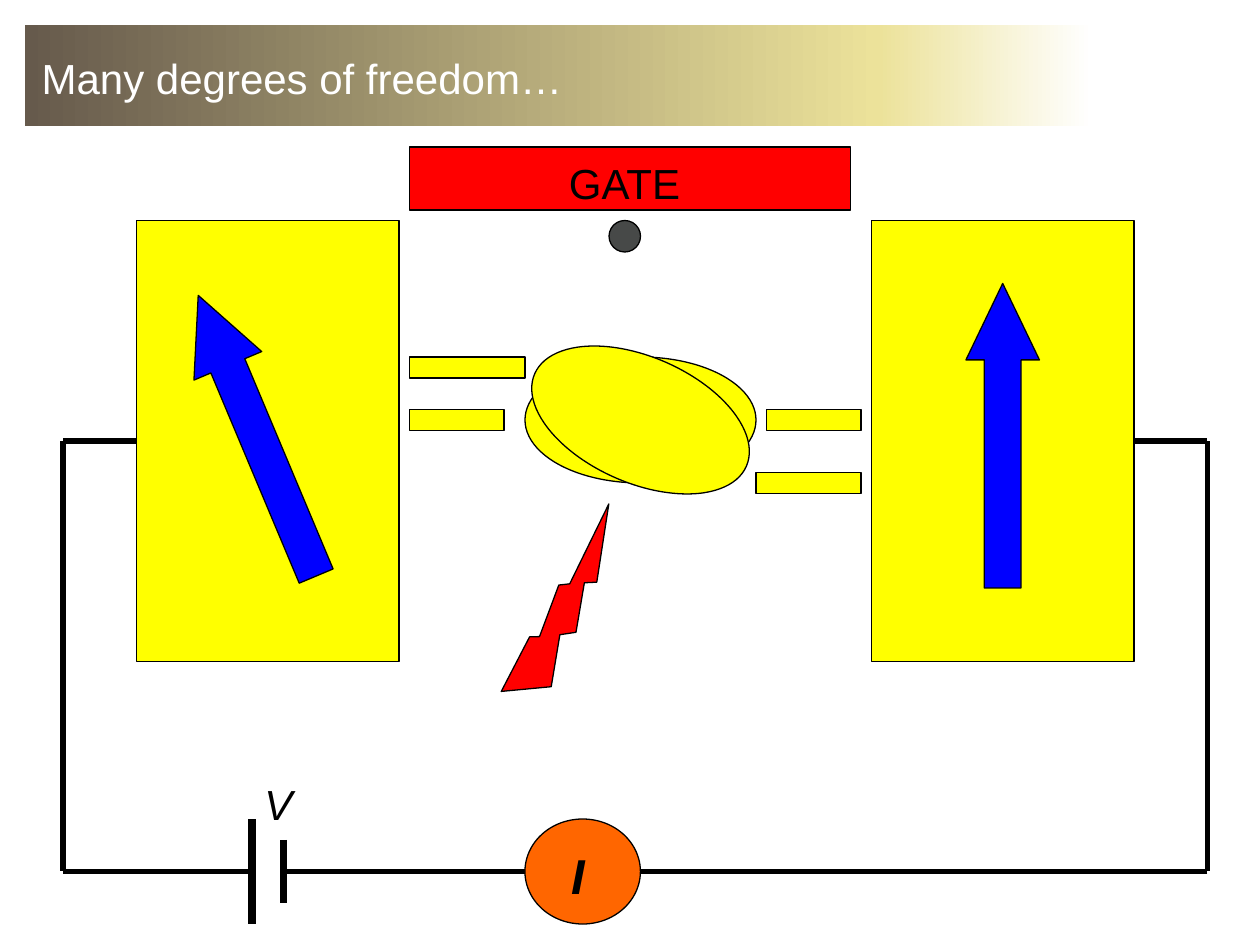
from copy import deepcopy

from lxml.etree import SubElement
from pptx import Presentation
from pptx.dml.color import RGBColor as RGB
from pptx.enum.shapes import MSO_CONNECTOR as LINK, MSO_SHAPE as KIND
from pptx.enum.text import MSO_ANCHOR as ANCHOR, PP_ALIGN as ALIGN
from pptx.oxml.ns import qn
from pptx.util import Inches, Pt

BLACK = RGB(0x00, 0x00, 0x00)
WHITE = RGB(0xFF, 0xFF, 0xFF)
YELLOW = RGB(0xFF, 0xFF, 0x00)
RED = RGB(0xFF, 0x00, 0x00)
BLUE = RGB(0x00, 0x00, 0xFF)
ORANGE = RGB(0xFF, 0x66, 0x00)
GREY = RGB(0x47, 0x49, 0x48)
BROWN = RGB(0x66, 0x5A, 0x4C)
SAND = RGB(0xEC, 0xE2, 0x9A)

deck = Presentation()
deck.slide_width, deck.slide_height = Inches(10), Inches(7.5)
slide = deck.slides.add_slide(deck.slide_layouts[5])
shapes = slide.shapes
UNIT = deck.slide_width / 120  # the slide is 120 columns by 90 rows


def draw(kind, box, fill, turn=0):
    """Add an outlined shape; box is column, row, columns, rows."""
    shape = shapes.add_shape(kind, *[round(n * UNIT) for n in box])
    shape.shadow.inherit = False
    shape.fill.solid()
    shape.fill.fore_color.rgb = fill
    shape.line.color.rgb = BLACK
    shape.line.width = Pt(0.75)
    shape.rotation = turn
    return shape


def write(shape, box, text, size, color=BLACK, bold=False, italic=False):
    """Place a text shape on the grid and fill it with one run."""
    shape.left, shape.top, shape.width, shape.height = [round(n * UNIT) for n in box]
    frame = shape.text_frame
    frame.word_wrap = True
    frame.vertical_anchor = ANCHOR.TOP
    frame.margin_top = Inches(0.08)
    para = frame.paragraphs[0]
    para.alignment = ALIGN.LEFT
    run = para.add_run()
    run.text = text
    font = run.font
    font.name, font.size, font.bold, font.italic = "Arial", Pt(size), bold, italic
    font.color.rgb = color


# Title on its fading bar
bar = draw(KIND.RECTANGLE, (2.4, 2.4, 101.6, 9.6), WHITE)
bar.line.fill.background()
bar.fill.gradient()
bar.fill.gradient_angle = 0
last = bar.fill.gradient_stops[1]._gs
last.addnext(deepcopy(last))
for stop, (place, color) in zip(bar.fill.gradient_stops,
                                ((0, BROWN), (0.8, SAND), (1, WHITE))):
    stop.position = place
    stop.color.rgb = color
title = shapes.title
bar.element.addnext(title.element)
write(title, (3, 4, 97, 8), "Many degrees of freedom…", 24, WHITE)
title.text_frame.margin_left = Inches(0.08)

# Electrodes
for col in (13, 83):
    draw(KIND.RECTANGLE, (col, 21, 25, 42), YELLOW)

# Circuit wires, then the two battery plates
for x1, y1, x2, y2, width in (
    (13, 42, 6, 42, 3),
    (115, 42, 108, 42, 3),
    (6, 42, 6, 83, 3),
    (115, 42, 115, 83, 3),
    (115, 83, 27, 83, 3),
    (6, 83, 24, 83, 3),
    (24, 78, 24, 88, 4.5),
    (27, 80, 27, 86, 4.5),
):
    ends = [round(n * UNIT) for n in (x1, y1, x2, y2)]
    wire = shapes.add_connector(LINK.STRAIGHT, *ends)
    wire.line.color.rgb = BLACK
    wire.line.width = Pt(width)
    SubElement(wire.element.spPr, qn("a:effectLst"))

# Voltage and current
write(shapes.add_textbox(0, 0, 0, 0), (24, 73.2, 9, 9), "V", 24, italic=True)
draw(KIND.OVAL, (50, 78, 11, 10), ORANGE)
write(shapes.add_textbox(0, 0, 0, 0), (53.2, 79.6, 9, 7), "I", 28,
      bold=True, italic=True)

# Island at rest with its levels
for col in (39, 73):
    draw(KIND.RECTANGLE, (col, 39, 9, 2), YELLOW)
island = (50, 34, 22, 12)
draw(KIND.OVAL, island, YELLOW)

# Gate and the charge below it
draw(KIND.RECTANGLE, (39, 14, 42, 6), RED)
write(shapes.add_textbox(0, 0, 0, 0), (53, 14, 15, 6), "GATE", 24)
draw(KIND.OVAL, (58, 21, 3, 3), GREY)

# Spins of the electrodes
for col, turn in ((21, 337.2), (92, 0)):
    spin = draw(KIND.UP_ARROW, (col, 27, 7, 29), BLUE, turn)
    spin.adjustments[0], spin.adjustments[1] = 0.5, 1.04

# Tilted island with shifted levels
draw(KIND.RECTANGLE, (39, 34, 11, 2), YELLOW)
draw(KIND.RECTANGLE, (72, 45, 10, 2), YELLOW)
draw(KIND.OVAL, island, YELLOW, 23.6)

# Light
draw(KIND.LIGHTNING_BOLT, (50, 48, 8, 20), RED, 223.5)

deck.save("out.pptx")
